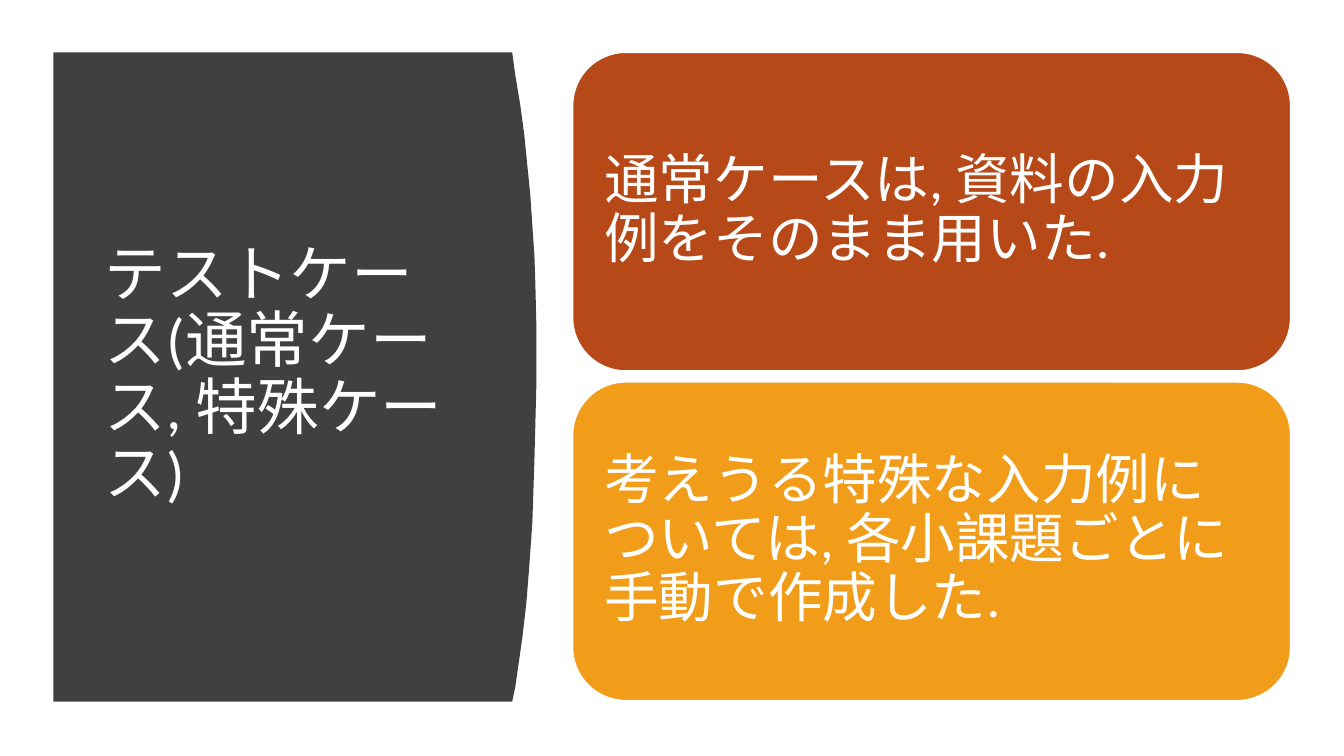
from pptx import Presentation
from pptx.dml.color import RGBColor
from pptx.enum.shapes import MSO_SHAPE as SHAPE
from pptx.enum.text import MSO_ANCHOR as ANCHOR, MSO_AUTO_SIZE as FIT, PP_ALIGN as ALIGN
from pptx.util import Inches, Pt

TITLE = "テストケース(通常ケース, 特殊ケース)"
CARDS = [
    ("通常ケースは, 資料の入力例をそのまま用いた.", "B74919"),
    ("考えうる特殊な入力例については, 各小課題ごとに手動で作成した.", "F19D19"),
]
CURVE = [
    (4.55, 0), (4.58, 0.22), (4.63, 0.52), (4.67, 0.82), (4.7, 1.12),
    (4.73, 1.42), (4.75, 1.72), (4.77, 2.01), (4.78, 2.3), (4.79, 2.73),
    (4.79, 3.28), (4.78, 3.68), (4.77, 4.06), (4.75, 4.66), (4.72, 5.09),
    (4.69, 5.47), (4.65, 5.81), (4.61, 6.09), (4.58, 6.3), (4.55, 6.44),
]


def color(value):
    return RGBColor.from_string(value)


def fill(sp, value):
    sp.shadow.inherit = False
    sp.fill.solid()
    sp.fill.fore_color.rgb = color(value)


def set_text(sp, text, size, inset):
    tf = sp.text_frame
    tf.word_wrap = True
    tf.auto_size = FIT.NONE
    tf.vertical_anchor = ANCHOR.MIDDLE
    tf.margin_left = tf.margin_right = Inches(inset)
    tf.margin_top = tf.margin_bottom = Inches(inset)
    tf.text = text
    p = tf.paragraphs[0]
    p.alignment = ALIGN.LEFT
    p.line_spacing = 0.9
    p.font.name = "Calibri"
    p.font.size = Pt(size)
    p.font.color.rgb = color("FFFFFF")


def add_title_panel(s, x, y, h):
    points = [(Inches(x + dx), Inches(y + dy)) for dx, dy in CURVE]
    builder = s.shapes.build_freeform(Inches(x), Inches(y))
    builder.add_line_segments(points + [(Inches(x), Inches(y + h))])
    panel = builder.convert_to_shape()
    fill(panel, "404040")
    panel.line.fill.background()

    title = s.shapes.title
    title.left, title.top = Inches(x + 0.41), Inches(y + 0.59)
    title.width, title.height = Inches(3.74), Inches(h - 1.2)
    set_text(title, TITLE, 44, 0.1)
    title._element.addprevious(panel._element)


def add_cards(s, x, y, w, h, gap):
    card_h = (h - gap * (len(CARDS) - 1)) / len(CARDS)
    for i, (text, back) in enumerate(CARDS):
        top = y + i * (card_h + gap)
        card = s.shapes.add_shape(
            SHAPE.ROUNDED_RECTANGLE, Inches(x), Inches(top), Inches(w), Inches(card_h))
        fill(card, back)
        card.line.color.rgb = color("FFFFFF")
        card.line.width = Pt(1)
        set_text(card, text, 39, 0.16)


def main():
    prs = Presentation()
    prs.slide_width, prs.slide_height = Inches(13.33), Inches(7.5)
    s = prs.slides.add_slide(prs.slide_layouts[5])
    add_title_panel(s, 0.53, 0.52, 6.44)
    add_cards(s, 5.68, 0.52, 7.12, 6.43, 0.11)
    prs.save("out.pptx")


if __name__ == "__main__":
    main()
